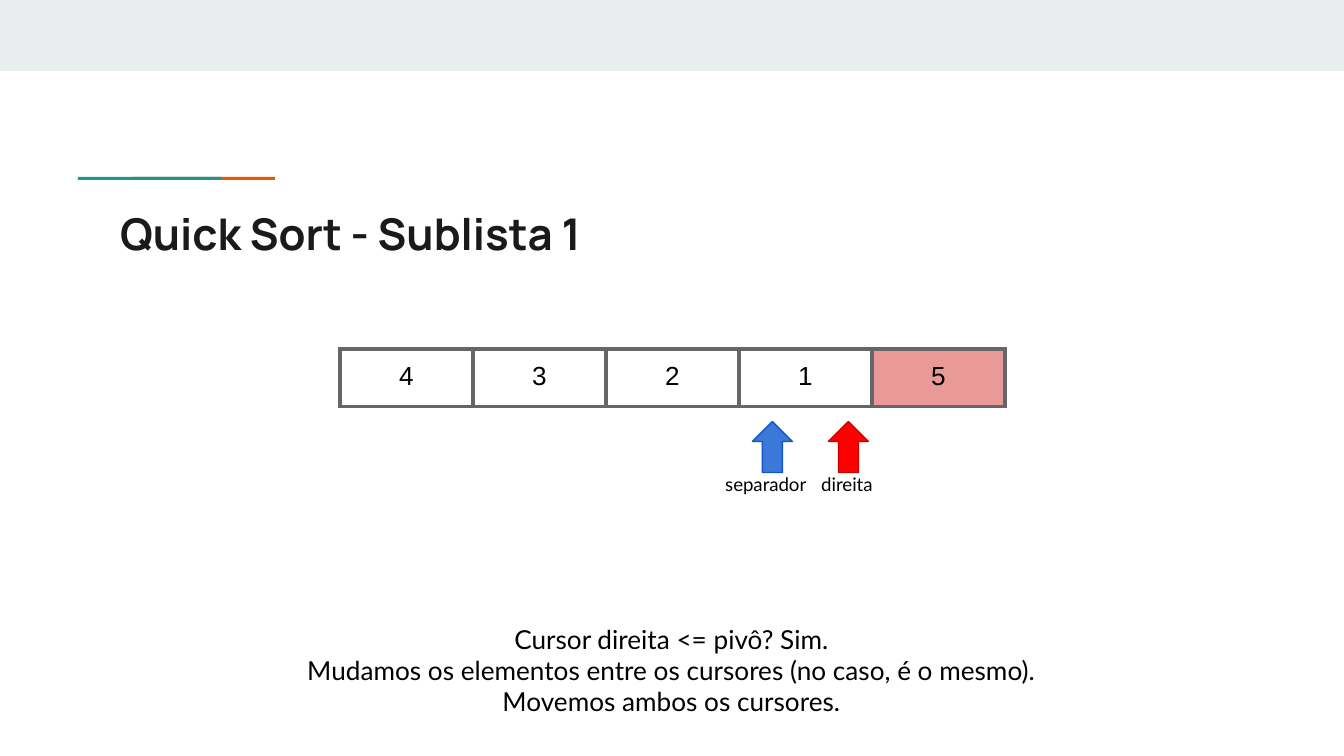
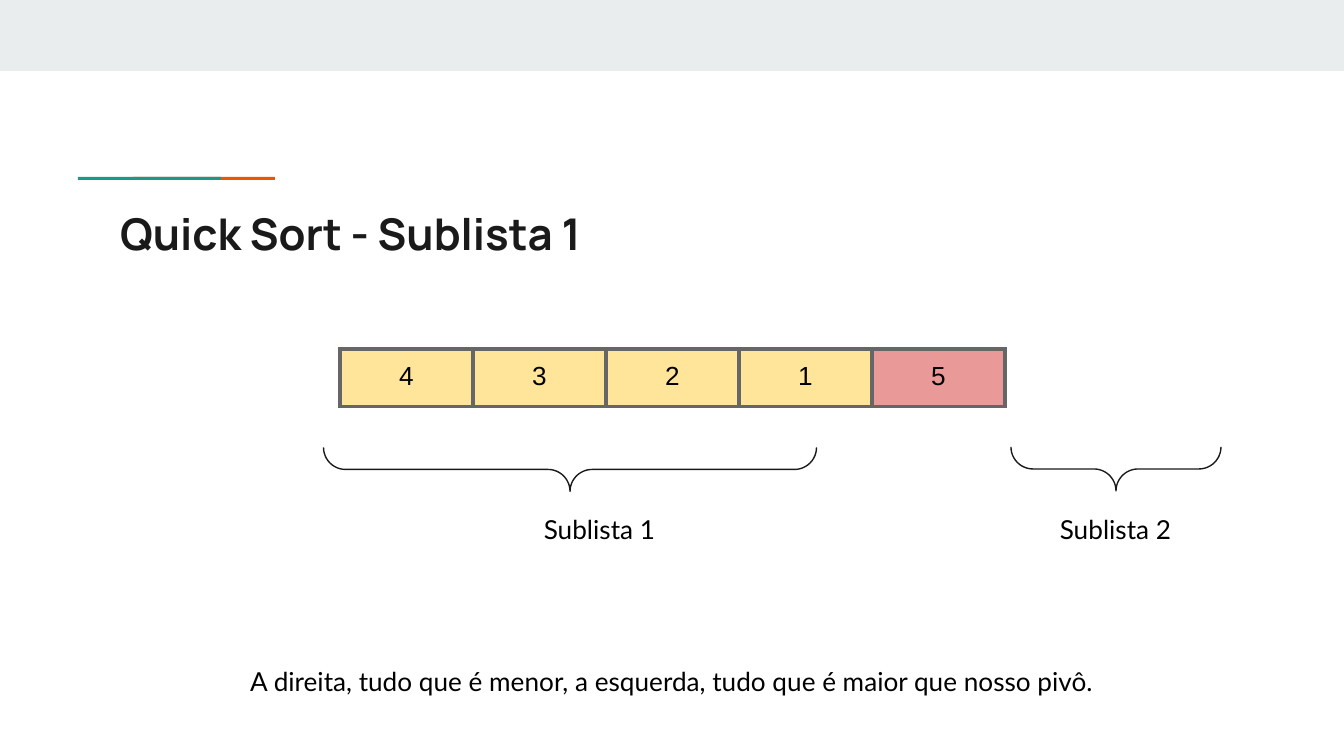
"""Build two slides showing a Quick Sort partition step and its resulting sublists."""
from lxml import etree
from pptx import Presentation
from pptx import util as u
from pptx.dml.color import RGBColor
from pptx.enum import shapes, text
from pptx.oxml import ns


class Theme:
    band, teal, orange = "E9EDEE", "1A9988", "EB5600"
    ink, black, border = "1A1A1A", "000000", "666666"
    pivot, smaller = "EA9999", "FFE599"
    blue, blue_line, red, red_line = "3C78D8", "1155CC", "FF0000", "CC0000"
    title_font, body_font, cell_font = "Manrope", "Lato", "Arial"
    title_size, body_size, label_size = 23.4, 14, 10
    line_width, border_width = 0.75, 2.25


PX = 914400 / 134.4
INSET = 13
CELL_W, CELL_H = 133, 56
VALUES = ["4", "3", "2", "1", "5"]
CENTER, LEFT = text.PP_ALIGN.CENTER, text.PP_ALIGN.LEFT
MSO = shapes.MSO_SHAPE


def add_shape(s, kind, box, fill=None, line=None, rotation=0):
    sp = s.shapes.add_shape(kind, *[round(v * PX) for v in box])
    sp.shadow.inherit = False
    sp.rotation = rotation
    if fill:
        sp.fill.solid()
        sp.fill.fore_color.rgb = RGBColor.from_string(fill)
    else:
        sp.fill.background()
    if line:
        sp.line.color.rgb = RGBColor.from_string(line)
        sp.line.width = u.Pt(Theme.line_width)
    else:
        sp.line.fill.background()
    return sp


def add_text(tf, lines, size=Theme.body_size, font=Theme.body_font,
             color=Theme.black, align=CENTER, bold=False):
    tf.word_wrap = True
    for i, line in enumerate(lines):
        p = tf.add_paragraph() if i else tf.paragraphs[0]
        p.alignment = align
        r = p.add_run()
        r.text = line
        r.font.name, r.font.size, r.font.bold = font, u.Pt(size), bold
        r.font.color.rgb = RGBColor.from_string(color)


slides = [
    {
        "fills": [None] * 4 + [Theme.pivot],
        "arrows": [(747, Theme.blue, Theme.blue_line), (823, Theme.red, Theme.red_line)],
        "braces": [],
        "texts": [
            ((712, 462, 112, 50), ["separador"], Theme.label_size, LEFT),
            ((808, 462, 81, 50), ["direita"], Theme.label_size, LEFT),
            ((239, 610, 865, 122), ["Cursor direita <= pivô? Sim.",
                                    "Mudamos os elementos entre os cursores (no caso, é o mesmo).",
                                    "Movemos ambos os cursores."], Theme.body_size, CENTER),
        ],
    },
    {
        "fills": [Theme.smaller] * 4 + [Theme.pivot],
        "arrows": [],
        "braces": [(548, 223, 44, 493), (1094, 364, 44, 210)],
        "texts": [
            ((222, 652, 900, 59),
             ["A direita, tudo que é menor, a esquerda, tudo que é maior que nosso pivô."],
             Theme.body_size, CENTER),
            ((495, 500, 209, 59), ["Sublista 1"], Theme.body_size, CENTER),
            ((1041, 500, 149, 59), ["Sublista 2"], Theme.body_size, CENTER),
        ],
    },
]

prs = Presentation()
prs.slide_width, prs.slide_height = round(1344 * PX), round(756 * PX)

for content in slides:
    s = prs.slides.add_slide(prs.slide_layouts[6])
    add_shape(s, MSO.RECTANGLE, (0, 0, 1344, 71), Theme.band)
    add_shape(s, MSO.RECTANGLE, (133, 177, 142, 3), Theme.orange)
    add_shape(s, MSO.RECTANGLE, (78, 177, 143, 3), Theme.teal)
    title = s.shapes.add_textbox(*[round(v * PX) for v in (107, 194, 1130, 79)])
    add_text(title.text_frame, ["Quick Sort - Sublista 1"], Theme.title_size,
             Theme.title_font, Theme.ink, LEFT, True)

    box = (340, 349, CELL_W * len(VALUES), CELL_H)
    table = s.shapes.add_table(1, len(VALUES), *[round(v * PX) for v in box]).table
    table.first_row = table.horz_banding = False
    for i, (value, fill) in enumerate(zip(VALUES, content["fills"])):
        table.columns[i].width = round(CELL_W * PX)
        cell = table.cell(0, i)
        cell.margin_left = cell.margin_right = round(INSET * PX)
        cell.margin_top = cell.margin_bottom = round(INSET * PX)
        add_text(cell.text_frame, [value], font=Theme.cell_font)
        tc_pr = cell._tc.get_or_add_tcPr()
        for side in ("a:lnL", "a:lnR", "a:lnT", "a:lnB"):
            ln = etree.SubElement(tc_pr, ns.qn(side), w=str(u.Pt(Theme.border_width)))
            solid = etree.SubElement(ln, ns.qn("a:solidFill"))
            etree.SubElement(solid, ns.qn("a:srgbClr"), val=Theme.border)
        if fill:
            cell.fill.solid()
            cell.fill.fore_color.rgb = RGBColor.from_string(fill)
        else:
            cell.fill.background()

    for x, fill, line in content["arrows"]:
        add_shape(s, MSO.RIGHT_ARROW, (x, 427, 51, 40), fill, line, 270)
    for box in content["braces"]:
        brace = add_shape(s, MSO.RIGHT_BRACE, box, line=Theme.ink, rotation=90)
        brace.adjustments[0] = brace.adjustments[1] = 0.5
    for box, lines, size, align in content["texts"]:
        tb = s.shapes.add_textbox(*[round(v * PX) for v in box])
        tf = tb.text_frame
        tf.margin_top = tf.margin_bottom = round(INSET * PX)
        add_text(tf, lines, size, align=align)
    title.text_frame.margin_top = title.text_frame.margin_bottom = round(INSET * PX)

prs.save("out.pptx")
